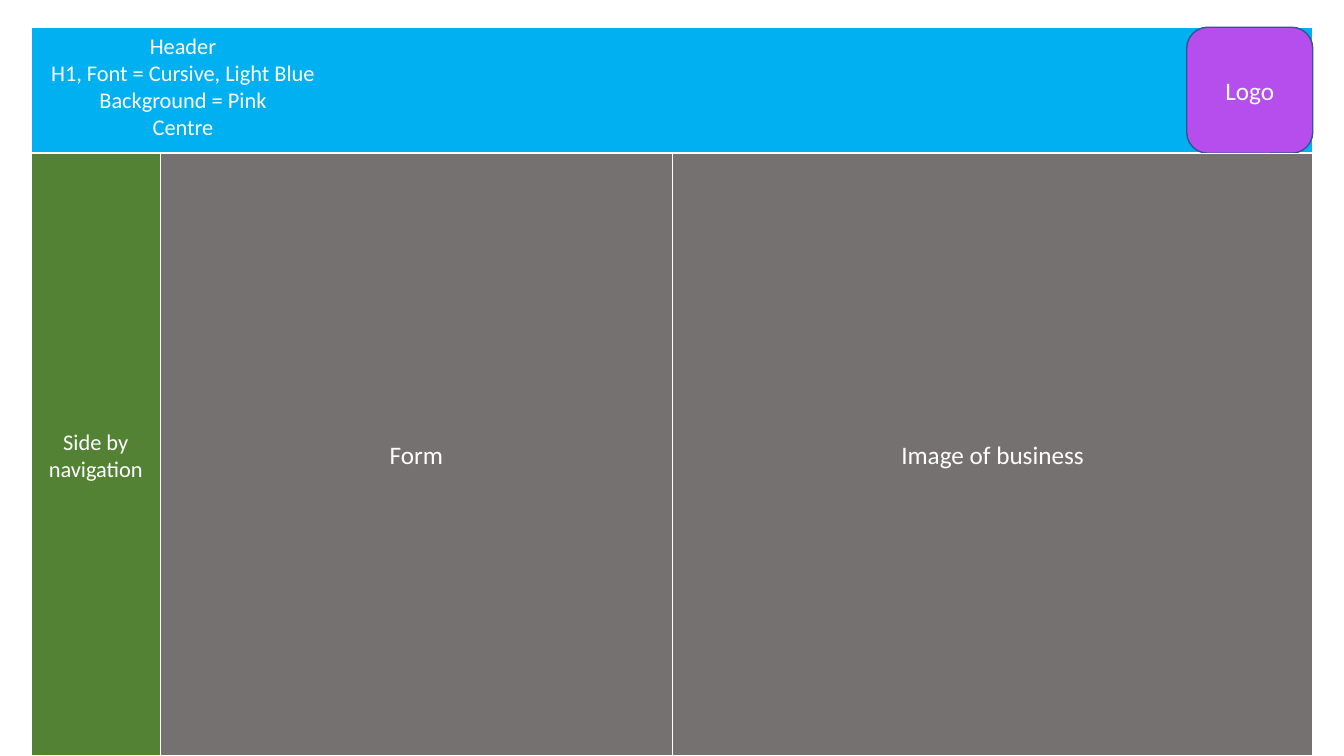
from dataclasses import dataclass

from pptx import Presentation
from pptx.dml.color import RGBColor
from pptx.enum import shapes, text
from pptx.util import Inches, Pt


@dataclass(frozen=True)
class Theme:
    font: str = "Calibri"
    small: int = 16
    large: int = 18
    white: str = "FFFFFF"
    header: str = "00B0F0"
    logo: str = "B64EED"
    logo_line: str = "325491"
    navigation: str = "548235"
    content: str = "767171"


THEME = Theme()

# Page grid, in inches
LEFT, TOP = 0.31, 0.27
PAGE_WIDTH, HEADER_HEIGHT = 12.71, 1.25
BODY_TOP = TOP + HEADER_HEIGHT
BODY_HEIGHT = 7.5 - BODY_TOP
NAVIGATION_WIDTH, FORM_WIDTH = 1.28, 5.08


def write(shape, words, size, anchor=text.MSO_ANCHOR.MIDDLE):
    frame = shape.text_frame
    frame.text = words
    frame.word_wrap = True
    frame.vertical_anchor = anchor
    for paragraph in frame.paragraphs:
        paragraph.alignment = text.PP_ALIGN.CENTER
        paragraph.font.name = THEME.font
        paragraph.font.size = Pt(size)
        paragraph.font.color.rgb = RGBColor.from_string(THEME.white)


def add_block(slide, box, fill, words="", size=THEME.large, line=THEME.white,
              kind=shapes.MSO_SHAPE.RECTANGLE):
    block = slide.shapes.add_shape(kind, *map(Inches, box))
    block.shadow.inherit = False
    block.fill.solid()
    block.fill.fore_color.rgb = RGBColor.from_string(fill)
    block.line.color.rgb = RGBColor.from_string(line)
    block.line.width = Pt(1)
    if words:
        write(block, words, size)


def add_header(slide, left, top, width, height):
    add_block(slide, (left, top, width, height), THEME.header)

    # Square logo area, flush with the right end of the band
    add_block(slide, (left + width - height, top, height, height), THEME.logo,
              "Logo", line=THEME.logo_line,
              kind=shapes.MSO_SHAPE.ROUNDED_RECTANGLE)

    # Title, brought in front of the band
    title = slide.shapes.title
    title.left, title.top = Inches(left + 0.01), Inches(top)
    title.width, title.height = Inches(2.99), Inches(1.18)
    write(title, "Header\nH1, Font = Cursive, Light Blue\nBackground = Pink\nCentre",
          THEME.small, text.MSO_ANCHOR.TOP)
    title.text_frame.auto_size = text.MSO_AUTO_SIZE.SHAPE_TO_FIT_TEXT
    title.element.getparent().append(title.element)


def add_body(slide, left, top, width, height):
    columns = [
        (NAVIGATION_WIDTH, THEME.navigation, "Side by navigation", THEME.small),
        (FORM_WIDTH, THEME.content, "Form", THEME.large),
        (width - NAVIGATION_WIDTH - FORM_WIDTH, THEME.content,
         "Image of business", THEME.large),
    ]
    for column_width, fill, words, size in columns:
        add_block(slide, (left, top, column_width, height), fill, words, size)
        left += column_width


def main():
    presentation = Presentation()
    presentation.slide_width = Inches(13.33)
    presentation.slide_height = Inches(7.5)
    title_only = presentation.slide_layouts.get_by_name("Title Only")
    slide = presentation.slides.add_slide(title_only)
    add_header(slide, LEFT, TOP, PAGE_WIDTH, HEADER_HEIGHT)
    add_body(slide, LEFT, BODY_TOP, PAGE_WIDTH, BODY_HEIGHT)
    presentation.save("out.pptx")


if __name__ == "__main__":
    main()
